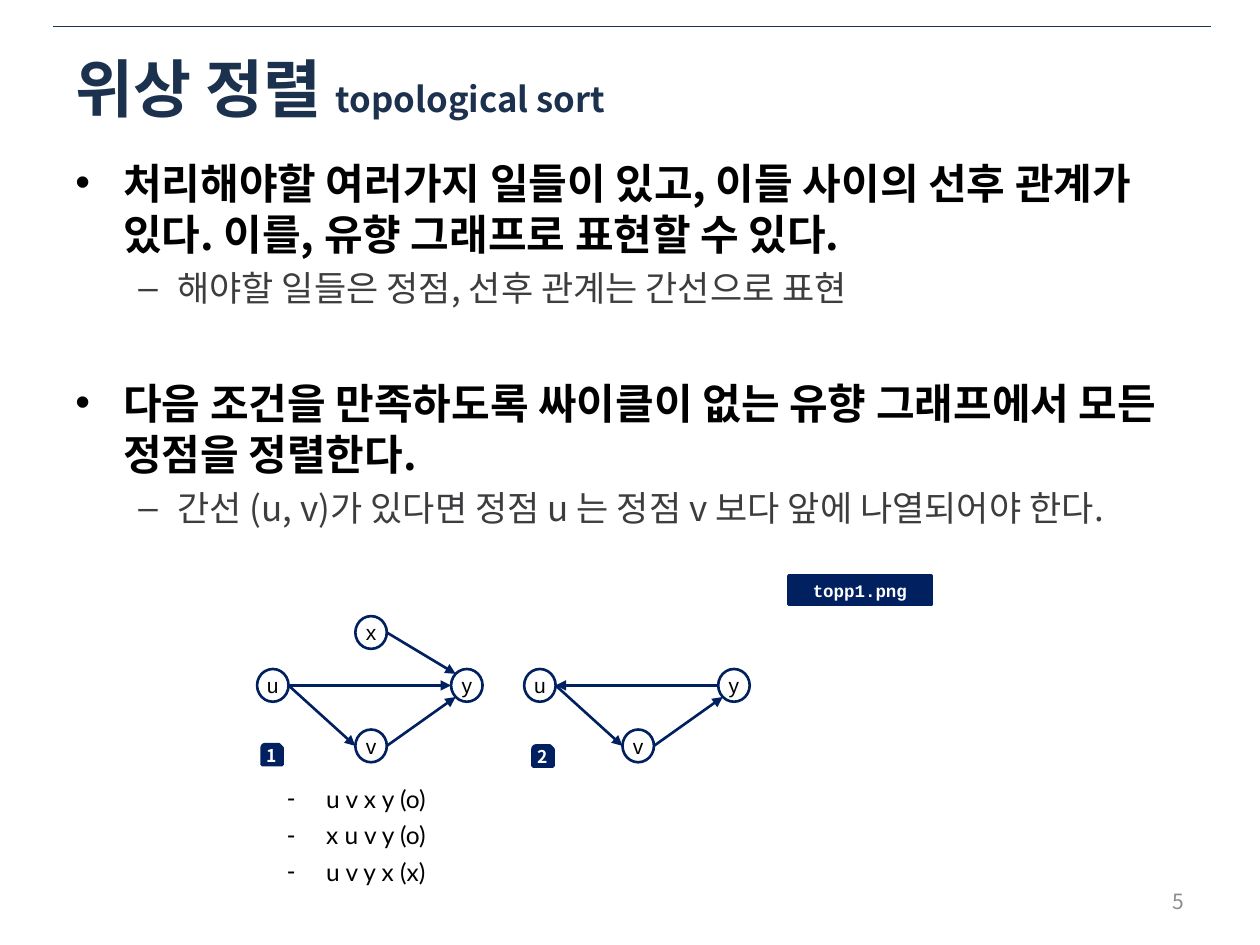
from dataclasses import dataclass
from math import sqrt

from lxml.etree import SubElement
from pptx import Presentation
from pptx.dml.color import RGBColor
from pptx.enum.shapes import MSO_CONNECTOR as Connector, MSO_SHAPE as Shape
from pptx.enum.text import MSO_ANCHOR as Anchor, PP_ALIGN as Align
from pptx.oxml.ns import qn
from pptx.util import Inches, Pt


@dataclass(frozen=True)
class Theme:
    navy: str = "002060"
    title: str = "1C314E"
    black: str = "000000"
    gray: str = "3D3C3E"
    page: str = "8C8C8C"
    white: str = "FFFFFF"
    korean: str = "Noto Sans CJK KR"
    latin: str = "Arial"
    code: str = "Courier New"
    listing: str = "Lato"
    title_size: float = 36
    subtitle_size: float = 19.8
    point_size: float = 24
    detail_size: float = 20
    order_size: float = 14
    small_size: float = 12
    label_size: float = 10
    leading: float = 1.22


THEME = Theme()
NODE_W, NODE_H = 0.25, 0.26
# Left edge and top of each vertex, relative to vertex u
NODE_OFFSETS = {"u": (0, 0), "v": (0.78, 0.48), "x": (0.78, -0.42), "y": (1.54, 0)}
# Fraction of the vertex width and height at which an edge attaches
DIAGONAL = sqrt(0.5) / 2
SITES = {
    "left": (0, 0.5),
    "right": (1, 0.5),
    "upper left": (0.5 - DIAGONAL, 0.5 - DIAGONAL),
    "lower left": (0.5 - DIAGONAL, 0.5 + DIAGONAL),
}


def add_run(paragraph, text, size, color, font, bold=False):
    run = paragraph.add_run()
    run.text = text
    settings = {"size": Pt(size), "name": font, "bold": bold}
    for name, value in settings.items():
        setattr(run.font, name, value)
    run.font.color.rgb = RGBColor.from_string(color)
    SubElement(run.font._element, qn("a:ea")).set("typeface", font)


def set_bullet(paragraph, mark, margin, hanging):
    properties = paragraph._p.get_or_add_pPr()
    properties.set("marL", str(Inches(margin)))
    properties.set("indent", str(-Inches(hanging)))
    SubElement(properties, qn("a:buFont")).set("typeface", THEME.latin)
    SubElement(properties, qn("a:buChar")).set("char", mark)


def add_text_box(slide, left, top, width, height, anchor=Anchor.TOP, wrap=True):
    box = slide.shapes.add_textbox(*map(Inches, (left, top, width, height)))
    frame = box.text_frame
    frame.word_wrap = wrap
    frame.vertical_anchor = anchor
    return frame


def add_title(slide, heading, subtitle):
    paragraph = add_text_box(slide, 0.5, 0.35, 9, 0.67, Anchor.MIDDLE).paragraphs[0]
    paragraph.line_spacing = Pt(THEME.title_size * THEME.leading)
    add_run(paragraph, heading, THEME.title_size, THEME.title, THEME.korean, True)
    add_run(paragraph, subtitle, THEME.subtitle_size, THEME.title, THEME.korean, True)


def add_points(slide, points):
    """Add bold points, each followed by its dashed detail."""
    frame = add_text_box(slide, 0.5, 1.19, 9, 5.51)
    point_style = (THEME.point_size, THEME.black, True, ("•", 0.38, 0.38))
    detail_style = (THEME.detail_size, THEME.gray, False, ("–", 0.81, 0.31))
    for index, point in enumerate(points):
        for text, style in zip(point, (point_style, detail_style)):
            size, color, bold, bullet = style
            starts_body = index == 0 and style is point_style
            paragraph = frame.paragraphs[0] if starts_body else frame.add_paragraph()
            gap = size * 0.2
            if index and style is point_style:
                gap += size * (THEME.leading + 0.2)
            paragraph.space_before = Pt(gap)
            paragraph.line_spacing = Pt(size * THEME.leading)
            set_bullet(paragraph, *bullet)
            add_run(paragraph, text, size, color, THEME.korean, bold)


def add_orders(slide, orders):
    frame = add_text_box(slide, 2.1, 6.17, 1.68, 0.92, wrap=False)
    for index, order in enumerate(orders):
        paragraph = frame.add_paragraph() if index else frame.paragraphs[0]
        paragraph.space_before = paragraph.space_after = Pt(2)
        set_bullet(paragraph, "-", 0.39, 0.31)
        add_run(paragraph, order, THEME.order_size, THEME.black, THEME.listing)


def add_page_number(slide, number):
    paragraph = add_text_box(slide, 7.17, 6.95, 2.33, 0.4, Anchor.MIDDLE).paragraphs[0]
    paragraph.alignment = Align.RIGHT
    add_run(paragraph, number, THEME.small_size, THEME.page, THEME.korean)


def add_labelled_shape(slide, kind, box, text, font, size, filled=True):
    shape = slide.shapes.add_shape(kind, *map(Inches, box))
    shape.shadow.inherit = False
    if filled:
        shape.fill.solid()
        shape.fill.fore_color.rgb = RGBColor.from_string(THEME.navy)
    else:
        shape.fill.background()
    shape.line.color.rgb = RGBColor.from_string(THEME.navy)
    shape.line.width = Pt(2 if filled else 1.5)
    frame = shape.text_frame
    settings = {"margin_left": 0, "margin_right": 0, "word_wrap": False,
                "vertical_anchor": Anchor.MIDDLE}
    for name, value in settings.items():
        setattr(frame, name, value)
    frame.paragraphs[0].alignment = Align.CENTER
    color = THEME.white if filled else THEME.black
    add_run(frame.paragraphs[0], text, size, color, font, filled)


def add_line(slide, start, end, color, width, arrow=False):
    line = slide.shapes.add_connector(
        Connector.STRAIGHT, *map(Inches, (*start, *end)))
    line.line.color.rgb = RGBColor.from_string(color)
    line.line.width = Pt(width)
    if arrow:
        SubElement(line.line._get_or_add_ln(), qn("a:tailEnd")).set("type", "triangle")
    SubElement(line._element.spPr, qn("a:effectLst"))


def add_graph(slide, left, top, names, edges):
    """Draw the named vertices with u at (left, top), then the directed edges."""
    corners = {}
    for name in names:
        dx, dy = NODE_OFFSETS[name]
        corners[name] = (left + dx, top + dy)
        add_labelled_shape(slide, Shape.OVAL, (*corners[name], NODE_W, NODE_H), name,
                           THEME.latin, THEME.small_size, filled=False)

    def attach(name, site):
        x, y = corners[name]
        across, down = SITES[site]
        return x + across * NODE_W, y + down * NODE_H

    for source, source_site, target, target_site in edges:
        add_line(slide, attach(source, source_site), attach(target, target_site),
                 THEME.navy, 1.5, arrow=True)


def add_badge(slide, left, top, number):
    add_labelled_shape(slide, Shape.SNIP_ROUND_RECTANGLE, (left, top, 0.16, 0.16),
                       number, THEME.korean, THEME.label_size)


def main():
    deck = Presentation()
    deck.slide_width, deck.slide_height = Inches(10), Inches(7.5)
    slide = deck.slides.add_slide(deck.slide_layouts[6])

    add_line(slide, (0.42, 0.21), (9.61, 0.21), THEME.title, 0.25)
    add_points(slide, [
        ("처리해야할 여러가지 일들이 있고, 이들 사이의 선후 관계가 있다. "
         "이를, 유향 그래프로 표현할 수 있다.",
         "해야할 일들은 정점, 선후 관계는 간선으로 표현"),
        ("다음 조건을 만족하도록 싸이클이 없는 유향 그래프에서 모든 정점을 정렬한다.",
         "간선 (u, v)가 있다면 정점 u 는 정점 v 보다 앞에 나열되어야 한다."),
    ])
    add_title(slide, "위상 정렬 ", "topological sort")

    through_v = [("u", "right", "v", "left"), ("v", "right", "y", "lower left")]
    add_graph(slide, 2.04, 5.31, "vuxy", through_v + [
        ("u", "right", "y", "left"), ("x", "right", "y", "upper left")])
    add_graph(slide, 4.16, 5.31, "vuy", through_v + [("y", "left", "u", "right")])

    add_orders(slide, ["u v x y (o)", "x u v y (o)", "u v y x (x)"])
    add_page_number(slide, "5")
    add_labelled_shape(slide, Shape.RECTANGLE, (6.26, 4.57, 1.13, 0.23), "topp1.png",
                       THEME.code, THEME.label_size)
    add_badge(slide, 2.08, 5.91, "1")
    add_badge(slide, 4.23, 5.92, "2")
    deck.save("out.pptx")


if __name__ == "__main__":
    main()
